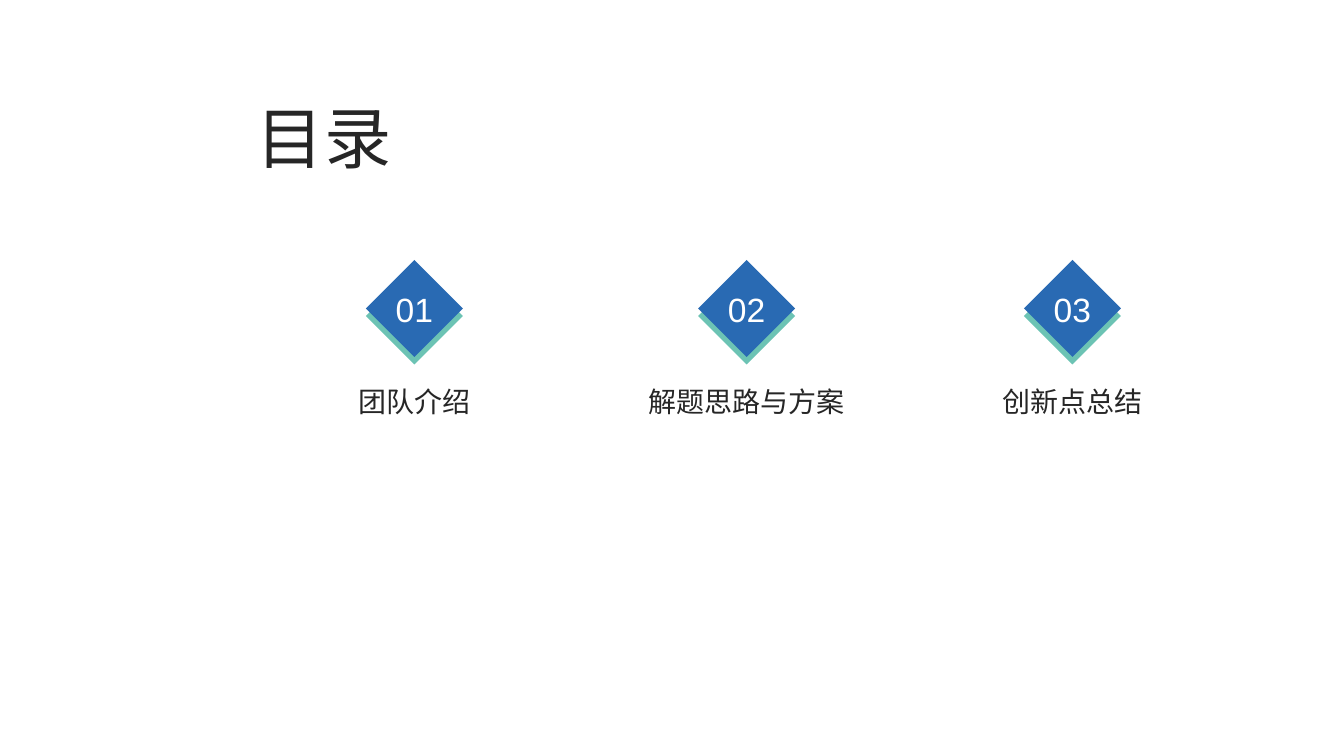
from lxml import etree
from pptx import Presentation
from pptx.dml.color import RGBColor
from pptx.enum import shapes, text
from pptx.oxml.ns import qn
from pptx.util import Pt

CJK = "Noto Sans CJK SC"
DARK, WHITE, BLUE, TEAL = "262626", "FFFFFF", "296AB3", "6CC3B4"
SIDE = 49


def rgb(value):
    return RGBColor.from_string(value)


def add_label(parent, wording, box, size, font, colour, inset=3.6):
    """Add a centred one-line text box; box is left, top, width, height in points."""
    tf = parent.add_textbox(*map(Pt, box)).text_frame
    tf.word_wrap = True
    tf.auto_size = text.MSO_AUTO_SIZE.SHAPE_TO_FIT_TEXT
    tf.margin_left = tf.margin_right = Pt(inset)
    tf.margin_top = tf.margin_bottom = Pt(3.6)
    p = tf.paragraphs[0]
    p.alignment = text.PP_ALIGN.CENTER
    r = p.add_run()
    r.text = wording
    r.font.size = Pt(size)
    r.font.name = font
    r.font.color.rgb = rgb(colour)
    etree.SubElement(r.font._element, qn("a:ea")).set("typeface", font)


prs = Presentation()
prs.slide_width, prs.slide_height = Pt(960), Pt(540)
s = prs.slides.add_slide(prs.slide_layouts[6])

add_label(s.shapes, "目录", (135.4, 65.5, 192.2, 65.5), 48, CJK, DARK)

# Centre of each entry, its number, heading and heading width
entries = [
    (296, "01", "团队介绍", 132),
    (533.3, "02", "解题思路与方案", 195),
    (766, "03", "创新点总结", 195),
]
for centre, number, heading, width in entries:
    badge = s.shapes.add_group_shape().shapes
    for top, colour in [(201.2, TEAL), (195.8, BLUE)]:
        sp = badge.add_shape(shapes.MSO_SHAPE.RECTANGLE, Pt(centre - SIDE / 2),
                             Pt(top), Pt(SIDE), Pt(SIDE))
        sp.rotation = 45
        sp.shadow.inherit = False
        sp.fill.solid()
        sp.fill.fore_color.rgb = rgb(colour)
        sp.line.fill.background()
    add_label(badge, number, (centre - 39.6, 202.5, 79.2, 36), 24, "Arial", WHITE)
    add_label(s.shapes, heading, (centre - width / 2, 271.4, width, 31.5),
              20, CJK, DARK, inset=7.2)

prs.save("out.pptx")
